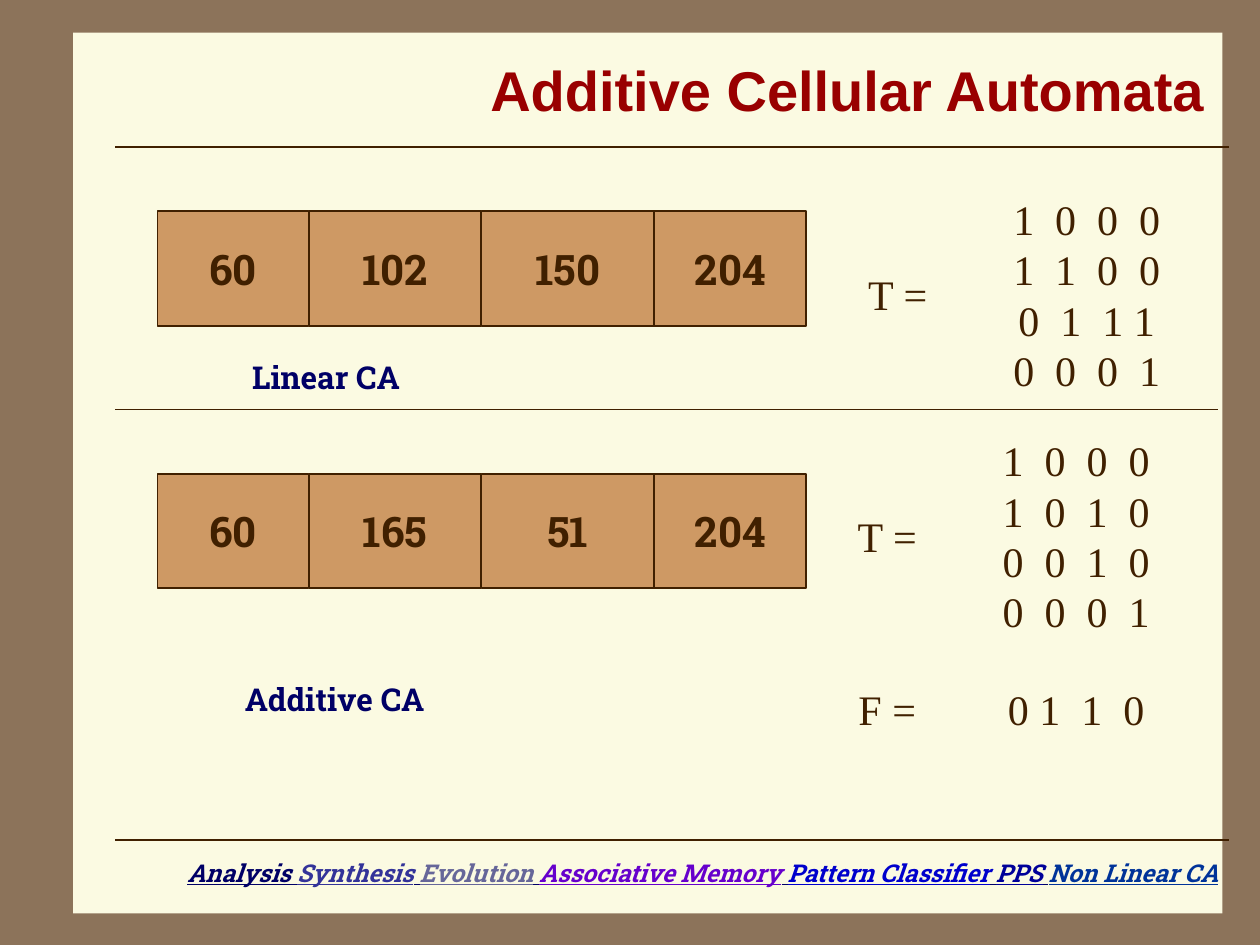
"""Build the Additive Cellular Automata slide."""
from pptx import Presentation
from pptx.dml.color import RGBColor
from pptx.enum.shapes import MSO_CONNECTOR, MSO_SHAPE
from pptx.enum.text import MSO_ANCHOR, PP_ALIGN
from pptx.oxml.ns import qn
from pptx.util import Pt
from lxml import etree

RECTANGLE = MSO_SHAPE.RECTANGLE
STRAIGHT = MSO_CONNECTOR.STRAIGHT
LEFT, CENTER, RIGHT = PP_ALIGN.LEFT, PP_ALIGN.CENTER, PP_ALIGN.RIGHT
TOP, MIDDLE = MSO_ANCHOR.TOP, MSO_ANCHOR.MIDDLE

BROWN = RGBColor(0x8C, 0x73, 0x5A)
CREAM = RGBColor(0xFB, 0xFA, 0xE2)
TAN = RGBColor(0xCE, 0x99, 0x64)
DARK = RGBColor(0x40, 0x20, 0x00)
RED = RGBColor(0x99, 0x00, 0x00)
NAVY = RGBColor(0x00, 0x00, 0x66)
INDIGO = RGBColor(0x33, 0x33, 0x99)
SLATE = RGBColor(0x66, 0x66, 0x99)
PURPLE = RGBColor(0x66, 0x00, 0xCC)
BLUE = RGBColor(0x00, 0x00, 0xCC)
DEEP_BLUE = RGBColor(0x00, 0x00, 0x99)
OCEAN = RGBColor(0x00, 0x33, 0x99)

SLAB = "Roboto Slab"
SERIF = "Times New Roman"
SANS = "Arial"

CELL_LEFT, CELL_HEIGHT = 90, 65.5
CELL_WIDTHS = (86.4, 98.7, 98.7, 87)
MATRIX_WIDTH, MATRIX_HEIGHT = 114, 156
LABEL_WIDTH, LABEL_HEIGHT = 66, 42

FOOTER = (
    ("Analysis ", NAVY),
    ("Synthesis", INDIGO), (" ", NAVY),
    ("Evolution", SLATE), (" ", NAVY),
    ("Associative Memory", PURPLE), (" ", NAVY),
    ("Pattern Classifier", BLUE), (" ", NAVY),
    ("PPS", DEEP_BLUE), (" ", NAVY),
    ("Non Linear CA", OCEAN),
)


def add_span(para, text, font, size, color, bold=False):
    """Append one formatted run and return it."""
    span = para.add_run()
    span.text = text
    span.font.name = font
    span.font.size = Pt(size)
    span.font.bold = bold
    span.font.color.rgb = color
    return span


def add_panel(page, left, top, width, height, fill):
    """Add a plain filled rectangle."""
    panel = page.shapes.add_shape(RECTANGLE, Pt(left), Pt(top), Pt(width), Pt(height))
    panel.shadow.inherit = False
    panel.fill.solid()
    panel.fill.fore_color.rgb = fill
    panel.line.fill.background()
    return panel


def add_rule(page, left, right, top):
    """Add a thin horizontal line."""
    rule = page.shapes.add_connector(STRAIGHT, Pt(left), Pt(top), Pt(right), Pt(top))
    rule.line.color.rgb = DARK
    rule.line.width = Pt(1)
    etree.SubElement(rule._element.spPr, qn("a:effectLst"))


def add_box(page, left, top, width, height, anchor, wrap=False):
    """Add an empty text box and return its frame."""
    box = page.shapes.add_textbox(Pt(left), Pt(top), Pt(width), Pt(height))
    frame = box.text_frame
    frame.word_wrap = wrap
    frame.vertical_anchor = anchor
    return frame


def add_lines(frame, lines, align, font, size, color, bold=False):
    """Fill a text frame with one paragraph per line."""
    for index, line in enumerate(lines):
        para = frame.add_paragraph() if index else frame.paragraphs[0]
        para.alignment = align
        add_span(para, line, font, size, color, bold)


def add_cells(page, top, rules):
    """Add a row of adjoining automaton cells with their rule numbers."""
    left = CELL_LEFT
    for width, rule in zip(CELL_WIDTHS, rules):
        cell = add_panel(page, left, top, width, CELL_HEIGHT, TAN)
        cell.line.color.rgb = DARK
        cell.line.width = Pt(1)
        cell.text_frame.vertical_anchor = MIDDLE
        add_lines(cell.text_frame, [rule], CENTER, SLAB, 24, DARK, True)
        left += width


def add_equation(page, label, label_left, matrix_left, middle, rows):
    """Add a label and its matrix rows centred on one height."""
    sides = (
        ([label], label_left, LABEL_WIDTH, LABEL_HEIGHT),
        (rows, matrix_left, MATRIX_WIDTH, MATRIX_HEIGHT if len(rows) > 1 else LABEL_HEIGHT),
    )
    for lines, left, width, height in sides:
        frame = add_box(page, left, middle - height / 2, width, height, MIDDLE)
        add_lines(frame, lines, CENTER, SERIF, 24, DARK)


def add_caption(page, left, top, width, text):
    """Add the name below a row of cells."""
    frame = add_box(page, left, top, width, 29, TOP)
    add_lines(frame, [text], LEFT, SLAB, 18, NAVY, True)


def add_footer(page):
    """Add the coloured topic line."""
    para = add_box(page, 43.2, 486.7, 660.2, 41, TOP).paragraphs[0]
    para.alignment = RIGHT
    for text, color in FOOTER:
        span = add_span(para, text, SLAB, 14, color, True)
        span.font.italic = True
        span.font.underline = True


def main():
    """Build and save the deck."""
    deck = Presentation()
    deck.slide_width, deck.slide_height = Pt(720), Pt(540)
    page = deck.slides.add_slide(deck.slide_layouts[6])
    page.background.fill.solid()
    page.background.fill.fore_color.rgb = BROWN

    add_panel(page, 41.8, 18.7, 656.7, 503.3, CREAM)
    for top, right in ((84, 702), (234, 696), (480, 702)):
        add_rule(page, 66, right, top)
    add_footer(page)
    title = add_box(page, 78, 12, 617.5, 78, MIDDLE, wrap=True)
    add_lines(title, ["Additive Cellular Automata"], RIGHT, SANS, 32, RED, True)

    add_cells(page, 120.7, ("60", "102", "150", "204"))
    add_equation(page, "T =", 480, 564, 168,
                 ("1  0  0  0", "1  1  0  0", "0  1  1 1", "0  0  0  1"))
    add_caption(page, 137, 201, 106, "Linear CA")

    add_cells(page, 270.7, ("60", "165", "51", "204"))
    add_equation(page, "T =", 474, 558, 306,
                 ("1  0  0  0", "1  0  1  0", "0  0  1  0", "0  0  0  1"))
    add_equation(page, "F =", 474, 558, 405, ("0 1  1  0",))
    add_caption(page, 132.8, 385, 125, "Additive CA")

    deck.save("out.pptx")


if __name__ == "__main__":
    main()
